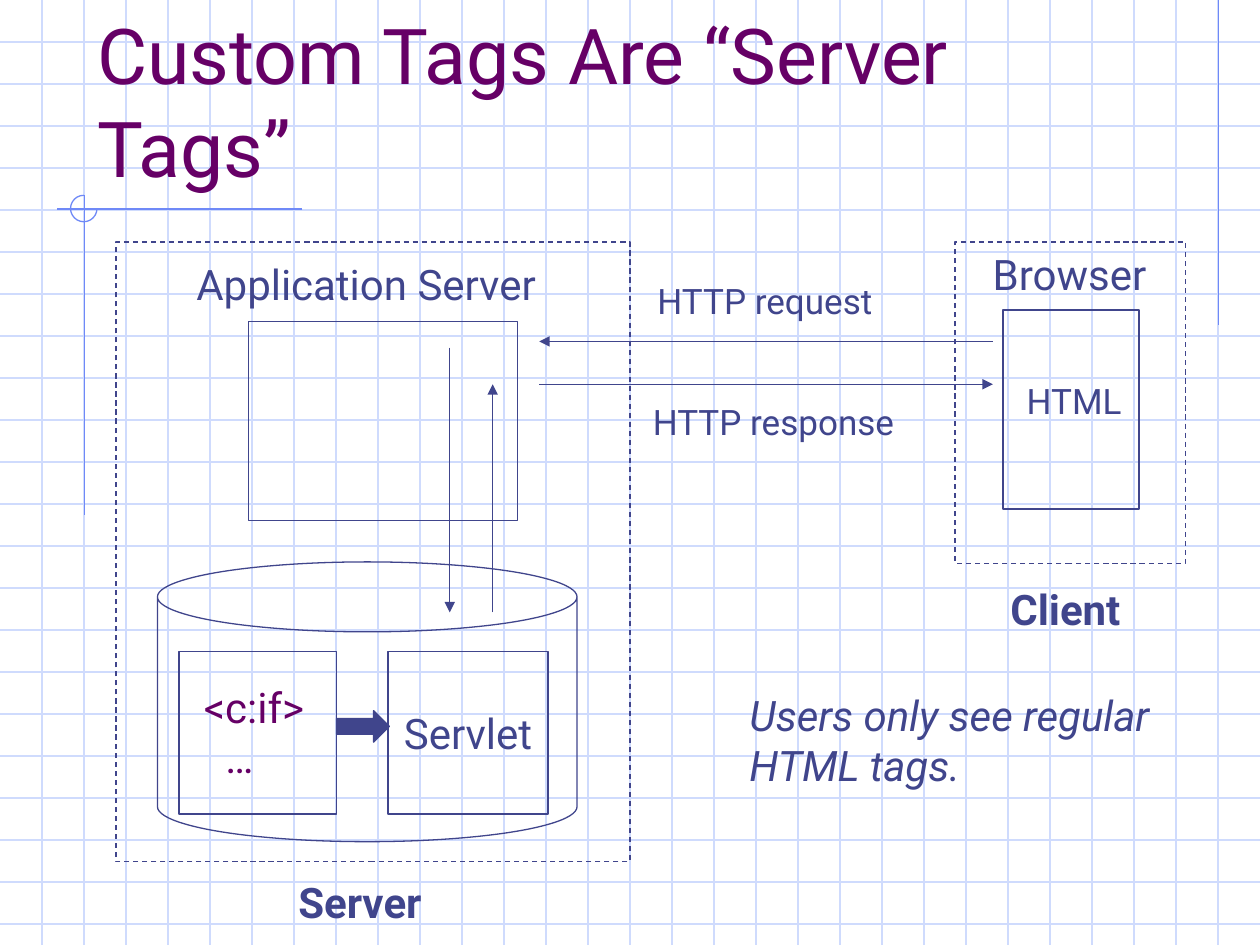
from lxml import etree
from pptx import Presentation
from pptx.dml.color import RGBColor
from pptx.enum.dml import MSO_LINE_DASH_STYLE as Dash
from pptx.enum.shapes import MSO_CONNECTOR as Connector, MSO_SHAPE as Shape
from pptx.enum.text import MSO_ANCHOR as Anchor, MSO_AUTO_SIZE as AutoSize, PP_ALIGN as Align
from pptx.oxml.ns import qn
from pptx.util import Inches, Pt

WIDTH, HEIGHT = 10, 7.5
GRID_STEP = 1 / 3
FONT = "Roboto"
COLORS = {"grid": "CFDBFD", "accent": "6F89F7", "ink": "40458C", "title": "660066"}

TITLE = "Custom Tags Are “Server Tags”"
TITLE_BOX = (0.67, 0.33, 8.5, 1.25)

# Start and end points
ACCENT_LINES = [(9.67, 0, 9.67, 2.58), (2.4, 1.66, 0.45, 1.66), (0.67, 1.55, 0.67, 4.09)]
ACCENT_ARC = (0.56, 1.55, 0.21, 0.21)
ARROWS = [
    (7.88, 2.71, 4.28, 2.71),  # request
    (4.28, 3.05, 7.88, 3.05),  # response
    (3.57, 2.76, 3.57, 4.86),  # to the servlet container
    (3.91, 4.86, 3.91, 3.05),  # back to the application server
]

# Preset, box
OUTLINES = [
    (Shape.RECTANGLE, (7.96, 2.46, 1.08, 1.58)),  # HTML page
    (Shape.RECTANGLE, (1.97, 2.55, 2.14, 1.58)),  # application server
    (Shape.CAN, (1.25, 4.46, 3.33, 2.22)),
    (Shape.RECTANGLE, (1.42, 5.17, 1.25, 1.29)),  # page with custom tags
]
DASHED_FRAMES = [(0.92, 1.92, 4.08, 4.92), (7.58, 1.92, 1.83, 2.55)]  # server, client
SERVLET_BOX = (3.08, 5.17, 1.27, 1.29)
BLOCK_ARROW_BOX = (2.67, 5.64, 0.42, 0.25)

# Lines, box, size, further formatting
LABELS = [
    (["Browser"], (7.78, 1.92, 1.5, 0.5), 24, {}),
    (["Application Server"], (1.46, 2, 3.04, 0.5), 24, {}),
    (["HTTP request"], (5.12, 2.17, 1.96, 0.44), 20, {}),
    (["HTTP response"], (5.06, 3.13, 2.16, 0.44), 20, {"align": Align.CENTER}),
    (["Server"], (2.27, 6.91, 1.27, 0.5), 24, {"bold": True}),
    (["Client"], (7.92, 4.58, 1.17, 0.5), 24, {"bold": True}),
    (["HTML"], (8.05, 2.96, 0.96, 0.44), 20, {}),
    (["<c:if>", "…"], (1.52, 5.36, 1.03, 0.9), 24, {"color": "title", "last_indent": 0.17}),
    (["Users only see regular", "HTML tags."], (5.85, 5.42, 3.46, 0.9), 24, {"italic": True}),
]


def rgb(name):
    return RGBColor.from_string(COLORS[name])


def inches(lengths):
    return [Inches(length) for length in lengths]


def set_line(shape, color):
    shape.line.color.rgb = rgb(color)
    shape.line.width = Pt(0.75)


def add_line(slide, points, color, arrow=False):
    connector = slide.shapes.add_connector(Connector.STRAIGHT, *inches(points))
    set_line(connector, color)
    properties = connector._element.spPr
    if arrow:
        etree.SubElement(properties.find(qn("a:ln")), qn("a:tailEnd"), type="triangle")
    etree.SubElement(properties, qn("a:effectLst"))


def add_outline(slide, preset, box, color="ink"):
    shape = slide.shapes.add_shape(preset, *inches(box))
    shape.shadow.inherit = False
    shape.fill.background()
    set_line(shape, color)
    return shape


def write(frame, lines, size, color="ink", align=Align.LEFT, bold=False, italic=False, last_indent=0):
    frame.text = "\n".join(lines)
    for paragraph in frame.paragraphs:
        paragraph.alignment = align
        font = paragraph.font
        font.name, font.size, font.bold, font.italic = FONT, Pt(size), bold, italic
        font.color.rgb = rgb(color)
    if last_indent:
        frame.paragraphs[-1]._p.get_or_add_pPr().set("marL", str(Inches(last_indent)))


def add_background(slide):
    for row in range(1, int(HEIGHT / GRID_STEP) + 1):
        add_line(slide, (0, row * GRID_STEP, WIDTH, row * GRID_STEP), "grid")
    for column in range(1, round(WIDTH / GRID_STEP)):
        add_line(slide, (column * GRID_STEP, 0, column * GRID_STEP, HEIGHT), "grid")
    for points in ACCENT_LINES:
        add_line(slide, points, "accent")
    arc = add_outline(slide, Shape.ARC, ACCENT_ARC, "accent")
    arc.adjustments[0], arc.adjustments[1] = 0, 162  # 0 to 270 degrees


def add_title(slide):
    title = slide.shapes.title
    title.left, title.top, title.width, title.height = inches(TITLE_BOX)
    write(title.text_frame, [TITLE], 44, "title")
    title.text_frame.auto_size = AutoSize.NONE
    title.text_frame.vertical_anchor = Anchor.BOTTOM
    slide.shapes._spTree.append(title._element)  # in front of the grid


def add_diagram(slide):
    for preset, box in OUTLINES:
        add_outline(slide, preset, box)
    for box in DASHED_FRAMES:
        add_outline(slide, Shape.RECTANGLE, box).line.dash_style = Dash.DASH
    for points in ARROWS:
        add_line(slide, points, "ink", arrow=True)

    servlet = add_outline(slide, Shape.RECTANGLE, SERVLET_BOX)
    servlet.text_frame.word_wrap = False
    servlet.text_frame.vertical_anchor = Anchor.MIDDLE
    write(servlet.text_frame, ["Servlet"], 24, align=Align.CENTER)

    block_arrow = add_outline(slide, Shape.RIGHT_ARROW, BLOCK_ARROW_BOX)
    block_arrow.fill.solid()
    block_arrow.fill.fore_color.rgb = rgb("ink")

    for lines, box, size, formatting in LABELS:
        frame = slide.shapes.add_textbox(*inches(box)).text_frame
        frame.word_wrap = False
        frame.auto_size = AutoSize.SHAPE_TO_FIT_TEXT
        write(frame, lines, size, **formatting)


def main():
    presentation = Presentation()
    presentation.slide_width, presentation.slide_height = inches((WIDTH, HEIGHT))
    slide = presentation.slides.add_slide(presentation.slide_layouts[5])
    add_background(slide)
    add_title(slide)
    add_diagram(slide)
    presentation.save("out.pptx")


if __name__ == "__main__":
    main()
